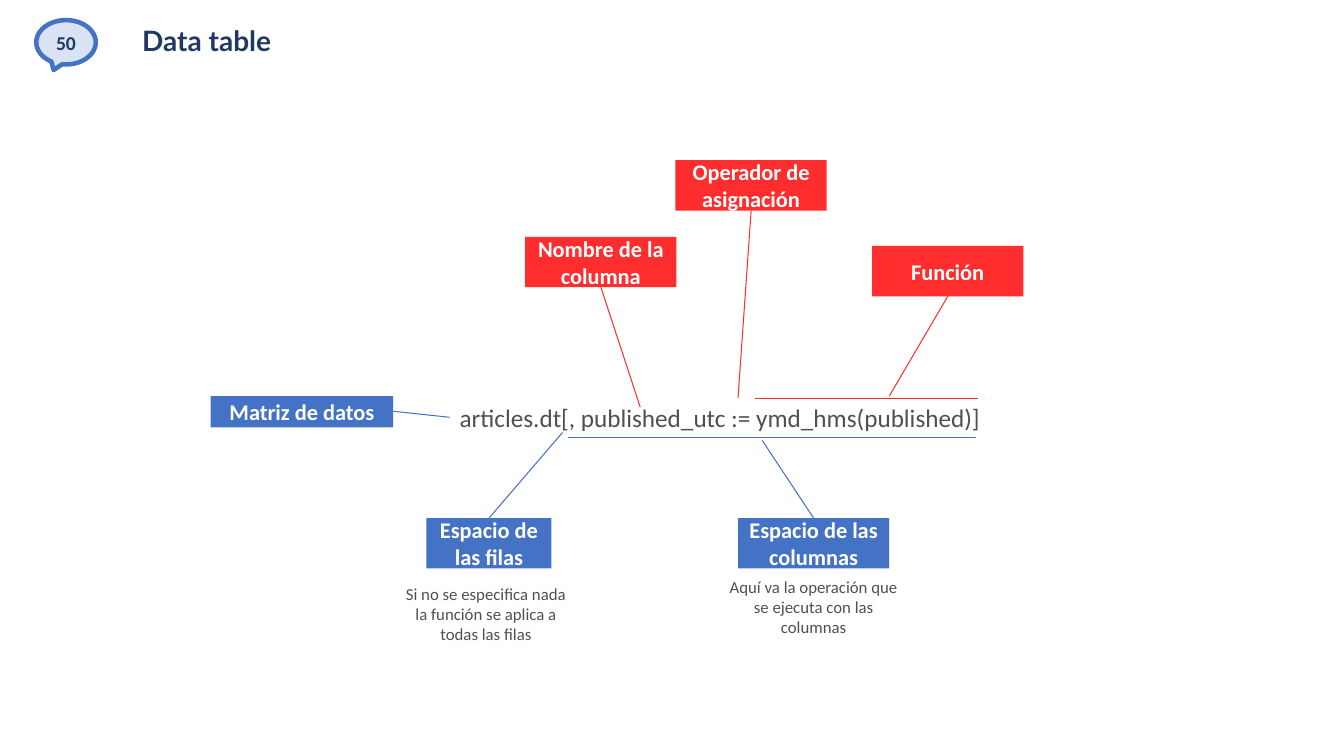
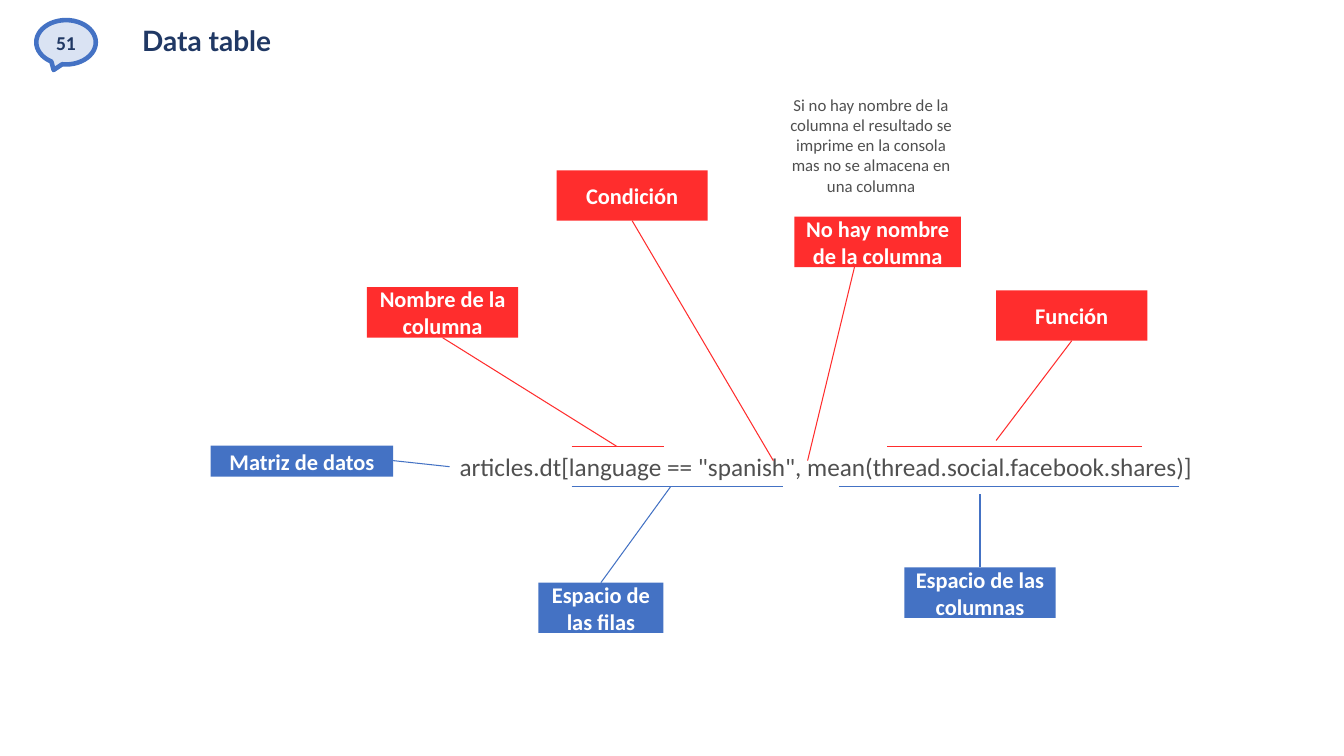
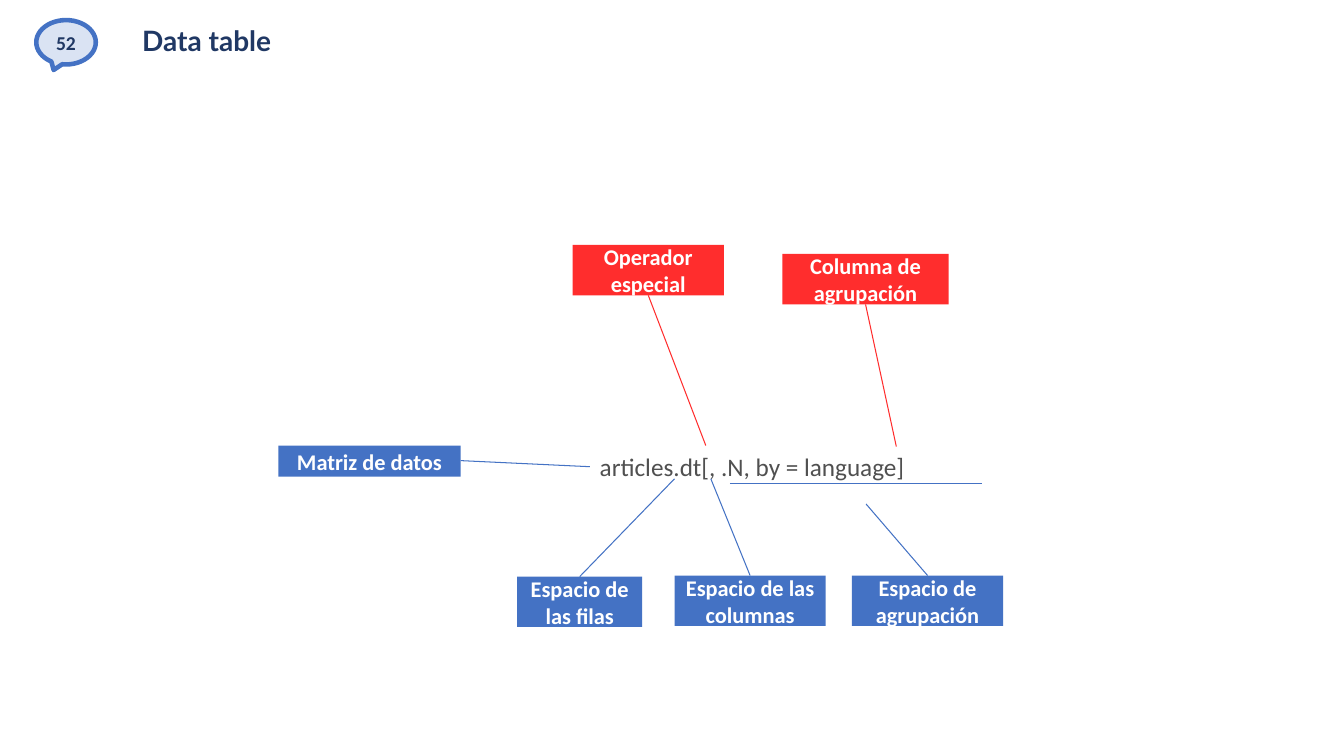
import pptx
import pptx.util
import pptx.dml.color
import pptx.enum.shapes
import pptx.enum.text
import pptx.oxml.ns
import lxml.etree

Inches = pptx.util.Inches
Pt = pptx.util.Pt
SHAPE = pptx.enum.shapes.MSO_SHAPE
ALIGN = pptx.enum.text.PP_ALIGN
MIDDLE = pptx.enum.text.MSO_ANCHOR.MIDDLE

HUES = {
    "blue": "4472C4",
    "red": "FF2D2D",
    "pale": "DAE3F3",
    "navy": "203864",
    "gray": "505050",
    "white": "FFFFFF",
}
TALL = 0.5
WIDE = 1.5
SLIM = 1.24
BROAD = 1.65


def hue(name):
    return pptx.dml.color.RGBColor.from_string(HUES[name])


def write(frame, text, size, color, bold=False, align=ALIGN.CENTER, font="Calibri"):
    para = frame.paragraphs[0]
    para.alignment = align
    run = para.add_run()
    run.text = text
    run.font.name = font
    run.font.size = Pt(size)
    run.font.bold = bold
    run.font.color.rgb = hue(color)
    return para


def shape(slide, kind, x, y, w, h, fill):
    item = slide.shapes.add_shape(kind, Inches(x), Inches(y), Inches(w), Inches(h))
    item.shadow.inherit = False
    item.fill.solid()
    item.fill.fore_color.rgb = hue(fill)
    item.line.fill.background()
    item.text_frame.vertical_anchor = MIDDLE
    return item


def line(slide, start, end, color):
    points = [Inches(v) for v in (*start, *end)]
    item = slide.shapes.add_connector(pptx.enum.shapes.MSO_CONNECTOR.STRAIGHT, *points)
    item.line.color.rgb = hue(color)
    item.line.width = Pt(0.75)
    props = item._element.spPr
    lxml.etree.SubElement(props, pptx.oxml.ns.qn("a:effectLst"))


def rule(slide, left, right, y, color):
    line(slide, (left, y), (right, y), color)


def tag(slide, text, x, y, w, color, h=TALL):
    item = shape(slide, SHAPE.RECTANGLE, x, y, w, h, color)
    item.text_frame.word_wrap = True
    write(item.text_frame, text, 16, "white", True)


def above(slide, text, x, y, w, tip, shift=0):
    tag(slide, text, x, y, w, "red")
    line(slide, (x + w / 2 + shift, y + TALL), tip, "red")


def below(slide, text, x, y, w, tip):
    tag(slide, text, x, y, w, "blue")
    line(slide, (x + w / 2, y), tip, "blue")


def box(slide, x, y, w, h, wrap):
    item = slide.shapes.add_textbox(Inches(x), Inches(y), Inches(w), Inches(h))
    item.text_frame.word_wrap = wrap
    return item.text_frame


def note(slide, text, x, y, h):
    write(box(slide, x, y, 1.94, h, True), text, 12, "gray")


def code(slide, text, x, y, w, left):
    write(box(slide, x, y, w, 0.4, False), text, 18, "gray", align=ALIGN.LEFT)
    wide, high = 1.81, 0.31
    tag(slide, "Matriz de datos", left, y - 0.01, wide, "blue", high)
    line(slide, (left + wide, y + 0.14), (x, y + 0.2), "blue")


def start(deck, number):
    slide = deck.slides.add_slide(deck.slide_layouts[5])
    title = slide.shapes.title
    title.left, title.top = Inches(1.31), Inches(0.22)
    title.width, title.height = Inches(10.77), Inches(0.42)
    frame = title.text_frame
    frame.auto_size = pptx.enum.text.MSO_AUTO_SIZE.NONE
    frame.word_wrap = True
    frame.vertical_anchor = MIDDLE
    para = write(frame, "Data table", 20, "navy", True, ALIGN.LEFT, "Lato")
    para.line_spacing = 0.85
    badge = shape(slide, SHAPE.OVAL_CALLOUT, 0.36, 0.2, 0.59, 0.44, "pale")
    badge.line.color.rgb = hue("blue")
    badge.line.width = Pt(3.25)
    frame = badge.text_frame
    frame.word_wrap = False
    frame.margin_left = frame.margin_right = 0
    frame.margin_top = frame.margin_bottom = 0
    write(frame, str(number), 14, "navy", True)
    return slide


def assign(slide):
    code(slide, "articles.dt[, published_utc := ymd_hms(published)]", 4.46, 3.94, 5.43, 2.09)
    below(slide, "Espacio de las filas", 4.23, 5.14, SLIM, (5.58, 4.29))
    note(slide, "Si no se especifica nada la función se aplica a todas las filas", 3.85, 5.74, 0.71)
    below(slide, "Espacio de las columnas", 7.32, 5.14, WIDE, (7.56, 4.37))
    note(slide, "Aquí va la operación que se ejecuta con las columnas", 7.1, 5.67, 0.71)
    above(slide, "Nombre de la columna", 5.21, 2.35, WIDE, (6.35, 4.04))
    above(slide, "Operador de asignación", 6.7, 1.59, WIDE, (7.32, 3.95))
    above(slide, "Función", 8.65, 2.44, WIDE, (8.82, 3.93))
    rule(slide, 5.63, 9.68, 4.34, "blue")
    rule(slide, 7.49, 9.7, 3.95, "red")


def select(slide):
    code(slide, 'articles.dt[language == "spanish", mean(thread.social.facebook.shares)]',
         4.46, 4.43, 7.55, 2.09)
    below(slide, "Espacio de las filas", 5.34, 5.78, SLIM, (6.65, 4.83))
    below(slide, "Espacio de las columnas", 8.97, 5.63, WIDE, (9.72, 4.9))
    note(slide, "Si no hay nombre de la columna el resultado se imprime en la consola "
         "mas no se almacena en una columna", 7.67, 0.89, 1.11)
    above(slide, "Nombre de la columna", 3.64, 2.85, WIDE, (6.12, 4.43))
    above(slide, "Función", 9.88, 2.88, WIDE, (9.88, 4.37))
    above(slide, "Condición", 5.52, 1.69, WIDE, (7.67, 4.57))
    above(slide, "No hay nombre de la columna", 7.88, 2.15, BROAD, (8.01, 4.57), -0.23)
    for left, right in ((5.67, 7.77), (8.32, 11.69)):
        rule(slide, left, right, 4.83, "blue")
    for left, right in ((5.67, 6.59), (8.8, 11.33)):
        rule(slide, left, right, 4.43, "red")


def group(slide):
    code(slide, "articles.dt[, .N, by = language]", 5.85, 4.43, 3.26, 2.76)
    below(slide, "Espacio de las filas", 5.13, 5.72, SLIM, (6.69, 4.75))
    below(slide, "Espacio de las columnas", 6.69, 5.71, WIDE, (7.05, 4.75))
    below(slide, "Espacio de agrupación", 8.45, 5.71, WIDE, (8.59, 5))
    above(slide, "Operador especial", 5.68, 2.43, WIDE, (7, 4.42))
    above(slide, "Columna de agrupación", 7.76, 2.52, BROAD, (8.89, 4.43))
    rule(slide, 7.24, 9.74, 4.8, "blue")


def main():
    deck = pptx.Presentation()
    deck.slide_width, deck.slide_height = Inches(13.33), Inches(7.5)
    for number, draw in enumerate((assign, select, group), 50):
        draw(start(deck, number))
    deck.save("out.pptx")


if __name__ == "__main__":
    main()
